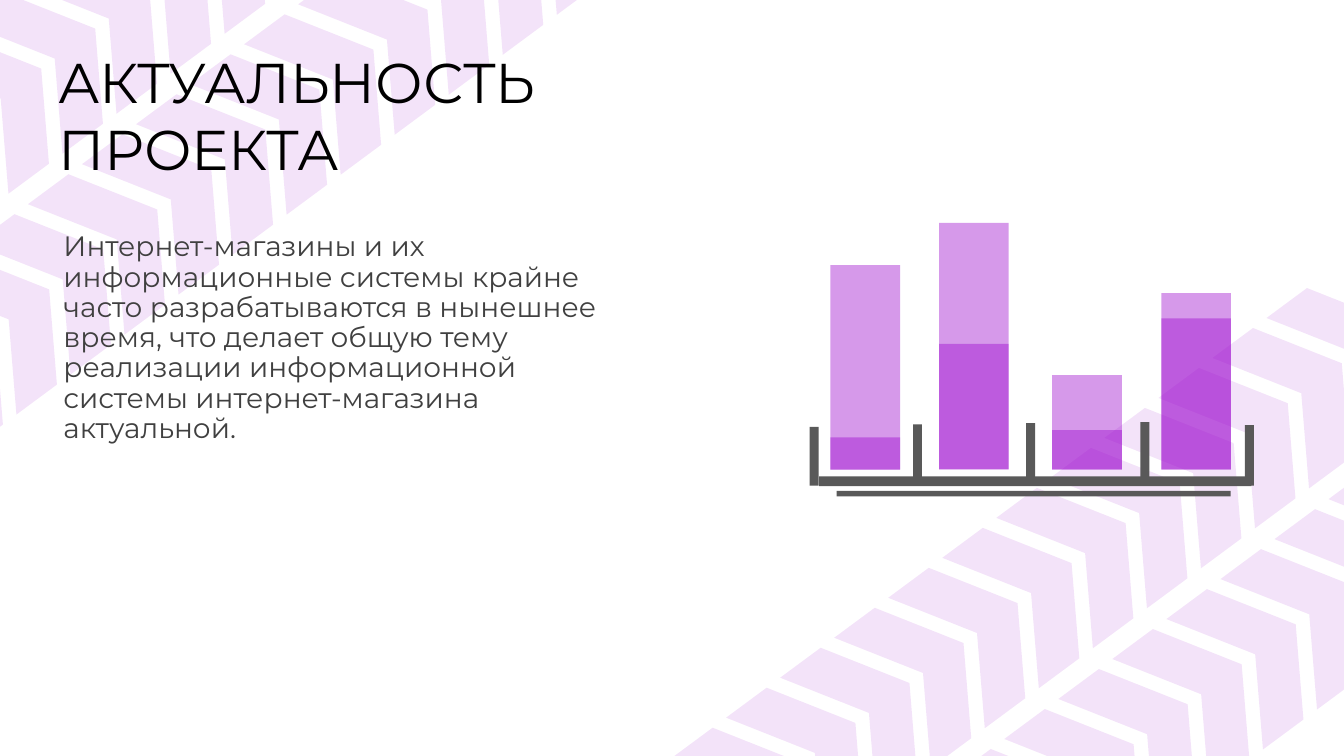
import pptx
import pptx.util
import pptx.dml.color
import pptx.enum.shapes
import pptx.enum.text
import pptx.oxml.ns
import lxml.etree

Pt = pptx.util.Pt
SHAPES = pptx.enum.shapes.MSO_SHAPE

# Content
TITLE = ["АКТУАЛЬНОСТЬ", "ПРОЕКТА"]
BODY = ["Интернет-магазины и их информационные системы крайне часто "
        "разрабатываются в нынешнее время, что делает общую тему "
        "реализации информационной системы интернет-магазина актуальной."]

FONT = "Montserrat"
COLORS = {"purple": "9900CC", "axis": "595959", "title": "000000", "body": "404040"}

# Tyre tracks: left and top of the lowest chevron, number of chevrons
TRACKS = [(-35.5, 12.4, 5), (-68.4, 198.7, 12), (507.5, 508.4, 12), (706.2, 523.6, 8)]
CHEVRON_SIZE = (72, 115.9)
CHEVRON_STEP = (38.6, -28.55)
CHEVRON_ANGLE = 323.5

# Bars: left, top of the whole bar, top of its darker part
BARS = [(593.2, 189.4, 312.4), (670.8, 159.2, 245.6),
        (751.6, 268, 307.2), (829.5, 209.3, 227.5)]
BAR_WIDTH, BAR_BASE = 49.7, 335.4

# Axis posts: left, top, bottom
POSTS = [(578.4, 305, 347), (652.2, 303.2, 344), (733, 302.2, 344),
         (814.6, 301.5, 344), (889.2, 303.7, 347)]
POST_WIDTH = 6.4
# Axis lines: left, top, width, height
AXIS_LINES = [(585, 340.2, 308.9, 7), (597.6, 350.6, 281.5, 4)]

deck = pptx.Presentation()
deck.slide_width, deck.slide_height = Pt(960), Pt(540)
page = deck.slides.add_slide(deck.slide_layouts[6])


def add_filled(kind, left, top, width, height, color, opacity=100):
    shape = page.shapes.add_shape(kind, Pt(left), Pt(top), Pt(width), Pt(height))
    shape.shadow.inherit = False
    shape.line.fill.background()
    shape.fill.solid()
    shape.fill.fore_color.rgb = pptx.dml.color.RGBColor.from_string(COLORS[color])
    if opacity < 100:
        tag = pptx.oxml.ns.qn("a:srgbClr")
        color_node = next(shape.fill._xPr.iter(tag))
        lxml.etree.SubElement(color_node, pptx.oxml.ns.qn("a:alpha"),
                              val=str(opacity * 1000))
    return shape


def add_text(lines, left, top, width, height, size, color, wrap, spacing):
    box = page.shapes.add_textbox(Pt(left), Pt(top), Pt(width), Pt(height))
    frame = box.text_frame
    frame.word_wrap = wrap
    for index, line in enumerate(lines):
        para = frame.add_paragraph() if index else frame.paragraphs[0]
        para.line_spacing = spacing
        span = para.add_run()
        span.text = line
        span.font.name = FONT
        span.font.size = Pt(size)
        span.font.color.rgb = pptx.dml.color.RGBColor.from_string(COLORS[color])


# Background tracks
for left, top, count in TRACKS:
    for index in range(count):
        chevron = add_filled(SHAPES.CHEVRON, left + index * CHEVRON_STEP[0],
                             top + index * CHEVRON_STEP[1], *CHEVRON_SIZE,
                             "purple", 11)
        chevron.rotation = CHEVRON_ANGLE

# Title and body
add_text(TITLE, 34.6, 30.2, 376.6, 104.4, 40, "title", False, 1.0)
add_text(BODY, 38.2, 162.7, 395.3, 159.1, 20, "body", True, 0.9)

# Bar illustration
for left, *tops in BARS:
    for top in tops:
        add_filled(SHAPES.RECTANGLE, left, top, BAR_WIDTH, BAR_BASE - top, "purple", 40)

# Axis
for left, top, bottom in POSTS:
    add_filled(SHAPES.RECTANGLE, left, top, POST_WIDTH, bottom - top, "axis")
for line in AXIS_LINES:
    add_filled(SHAPES.RECTANGLE, *line, "axis")

deck.save("out.pptx")
